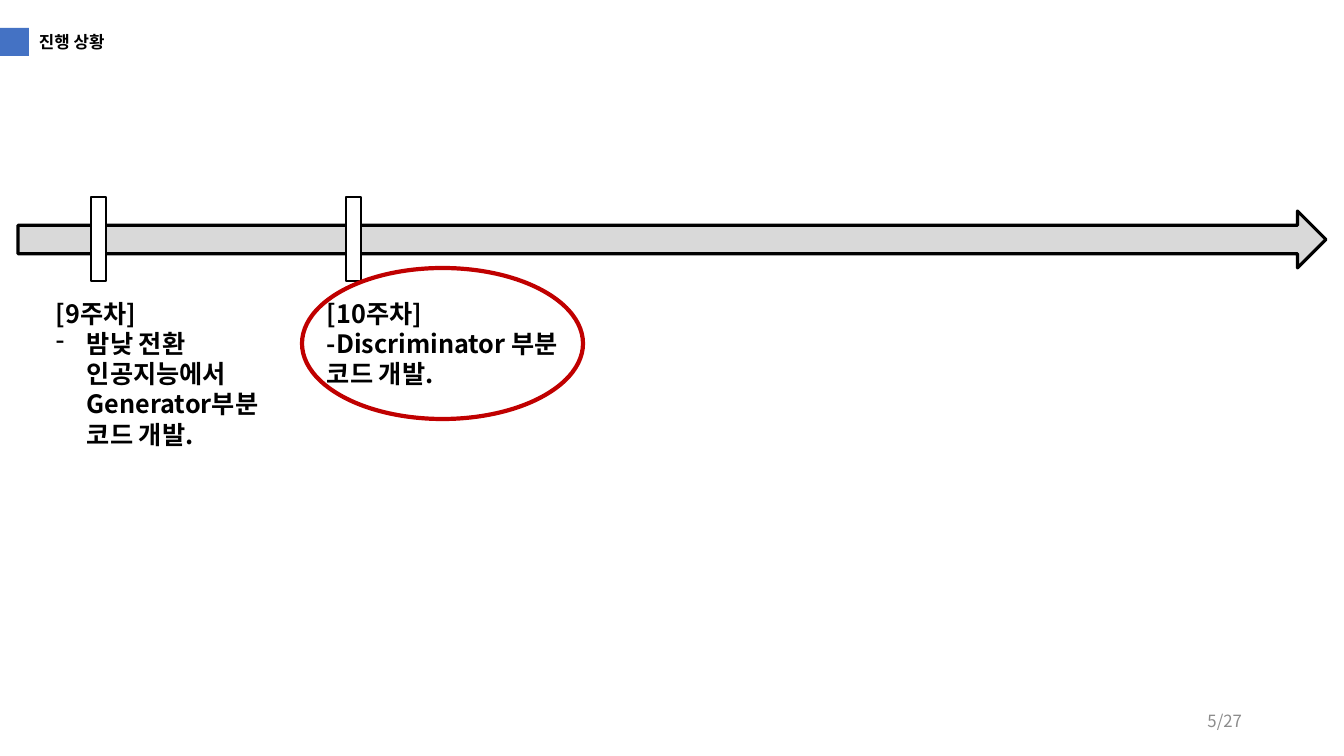
from lxml import etree
from pptx import Presentation
from pptx.dml.color import RGBColor
from pptx.enum.shapes import MSO_SHAPE
from pptx.enum.text import MSO_ANCHOR, MSO_AUTO_SIZE, PP_ALIGN
from pptx.oxml.ns import qn
from pptx.util import Emu, Pt

# Content: each week has a marker, a text box and its lines (text, bulleted)
TITLE = "진행 상황"
PAGE = "5/27"
WEEKS = [
    (91, 46, [("[9주차]", False),
              ("밤낮 전환 인공지능에서 Generator부분 코드 개발.", True)]),
    (346, 317, [("[10주차]", False),
                ("-Discriminator 부분 코드 개발.", False)]),
]

FACE = "Noto Sans CJK KR"
BLACK = RGBColor(0x00, 0x00, 0x00)
WHITE = RGBColor(0xFF, 0xFF, 0xFF)
BLUE = RGBColor(0x44, 0x72, 0xC4)
RED = RGBColor(0xC0, 0x00, 0x00)
SILVER = RGBColor(0xD9, 0xD9, 0xD9)
GRAY = RGBColor(0x8C, 0x8C, 0x8C)
RECT = MSO_SHAPE.RECTANGLE
ARROW = MSO_SHAPE.RIGHT_ARROW
OVAL = MSO_SHAPE.OVAL
LEFT, RIGHT = PP_ALIGN.LEFT, PP_ALIGN.RIGHT
MIDDLE = MSO_ANCHOR.MIDDLE
GROW = MSO_AUTO_SIZE.SHAPE_TO_FIT_TEXT
SCALE = 914400 / 100.8


def px(n):
    return Emu(round(n * SCALE))


def draw(kind, box, fill=None, line=None, width=0):
    shape = slide.shapes.add_shape(kind, *map(px, box))
    shape.shadow.inherit = False
    if fill is None:
        shape.fill.background()
    else:
        shape.fill.solid()
        shape.fill.fore_color.rgb = fill
    if line is None:
        shape.line.fill.background()
    else:
        shape.line.color.rgb = line
        shape.line.width = Pt(width)
    return shape


def style(para, text, size, color=BLACK, bold=False, align=LEFT):
    para.text = text
    para.alignment = align
    font = para.font
    font.name, font.size, font.bold = FACE, Pt(size), bold
    font.color.rgb = color
    base = para._p.pPr.find(qn("a:defRPr"))
    etree.SubElement(base, qn("a:ea")).set("typeface", FACE)


def bullet(para, mark, indent):
    props = para._p.get_or_add_pPr()
    props.set("marL", str(px(indent)))
    props.set("indent", str(-px(indent)))
    etree.SubElement(props, qn("a:buChar")).set("char", mark)


def add_box(box):
    frame = slide.shapes.add_textbox(*map(px, box)).text_frame
    frame.word_wrap = True
    return frame


deck = Presentation()
deck.slide_width, deck.slide_height = px(1344), px(756)
slide = deck.slides.add_slide(deck.slide_layouts[6])

# Timeline and heading
draw(ARROW, (18, 211, 1308, 57), SILVER, BLACK, 2.25)
draw(RECT, (0, 28, 29, 28), BLUE)
head = draw(RECT, (29, 27, 94, 30), WHITE).text_frame
head.word_wrap = False
head.auto_size = GROW
style(head.paragraphs[0], TITLE, 12, bold=True)

# Weeks
for mark, left, lines in WEEKS:
    frame = add_box((left, 293, 270, 132))
    frame.auto_size = GROW
    for i, (text, listed) in enumerate(lines):
        para = frame.add_paragraph() if i else frame.paragraphs[0]
        if listed:
            bullet(para, "-", 31)
        style(para, text, 18, bold=True)
    draw(RECT, (mark, 197, 15, 84), WHITE, BLACK, 1.5)

# Ring around the current week
draw(OVAL, (302, 268, 281, 151), line=RED, width=3)

# Page number
foot = add_box((950, 701, 302, 40))
foot.vertical_anchor = MIDDLE
style(foot.paragraphs[0], PAGE, 12, GRAY, align=RIGHT)

deck.save("out.pptx")
